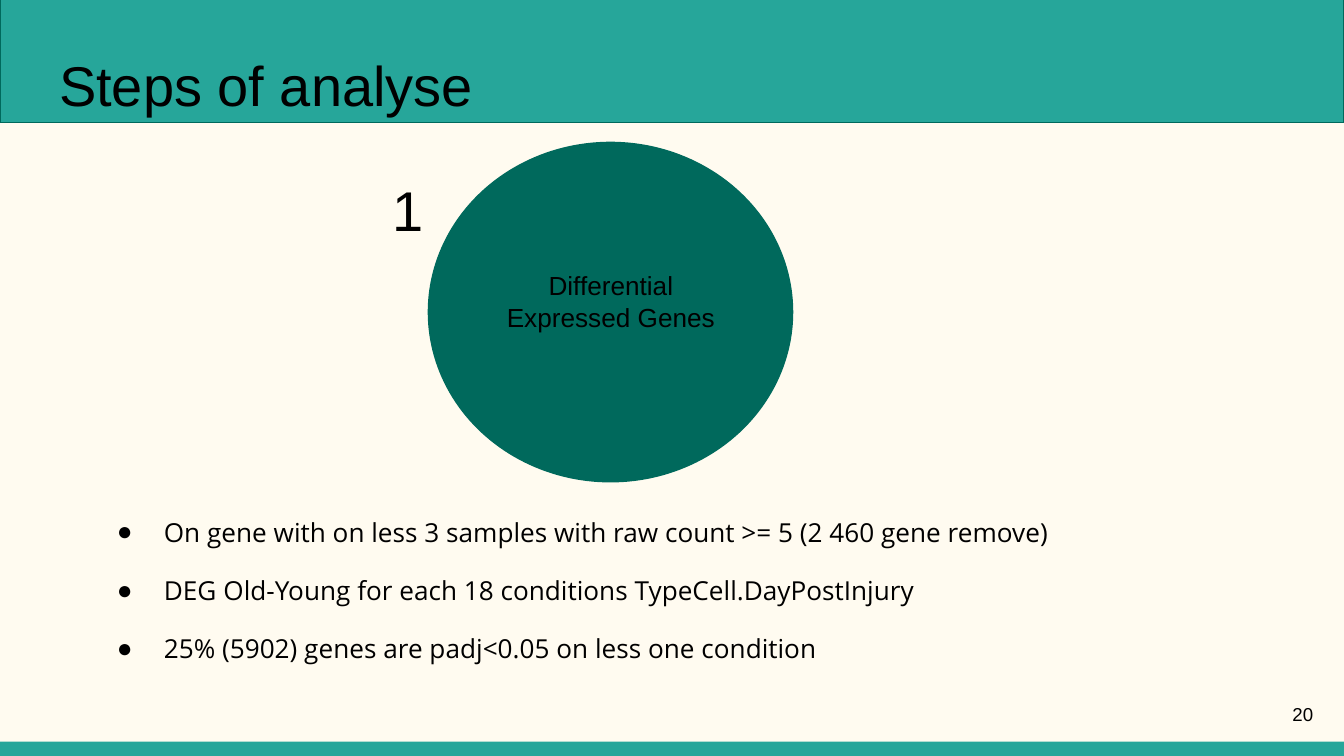
"""Build the slide on the differential expression step of the analysis."""
from lxml import etree
from pptx import Presentation
from pptx import util as u
from pptx.dml.color import RGBColor
from pptx.enum import shapes, text
from pptx.oxml import ns

TEAL = RGBColor(0x26, 0xA6, 0x9A)
DARK_TEAL = RGBColor(0x00, 0x69, 0x5C)
CREAM = RGBColor(0xFF, 0xFB, 0xF0)
BLACK = RGBColor(0, 0, 0)

WIDTH, HEIGHT = 720, 405
INSET = 7.2
TITLE = "Steps of analyse"
STEP_NUMBER = "1"
STEP_NAME = "Differential Expressed Genes"
PAGE_NUMBER = "20"
BULLETS = [
    "On gene with on less 3 samples with raw count >= 5 (2 460 gene remove)",
    "DEG Old-Young for each 18 conditions TypeCell.DayPostInjury",
    "25% (5902) genes are padj<0.05 on less one condition",
]
FOOTER_BOX = (0, 397.4, WIDTH, 7.6)
CIRCLE_BOX = (229.5, 76.3, 195.1, 181.8)
HEADER_BOX = (0, -5.1, WIDTH, 70.6)
TITLE_BOX = (24.5, 17.3, 671, 48.2)
PAGE_BOX = (667.4, 367.2, 43.2, 31)
LABEL_BOX = (261.4, 141.1, 131.8, 40.3)
NUMBER_BOX = (203, 84.2, 33.8, 48.2)
BODY_BOX = (44.6, 269.3, 565.2, 99.4)


def add_filled(slide, kind, box, fill, line=None):
    shape = slide.shapes.add_shape(kind, *map(u.Pt, box))
    shape.shadow.inherit = False
    shape.fill.solid()
    shape.fill.fore_color.rgb = fill
    if line is None:
        shape.line.fill.background()
    else:
        shape.line.color.rgb = line
        shape.line.width = u.Pt(0.75)
    return shape


def place_on_top(shape, box):
    shape.left, shape.top, shape.width, shape.height = map(u.Pt, box)
    shape.element.getparent().append(shape.element)


def add_bullet(paragraph):
    properties = paragraph._p.get_or_add_pPr()
    properties.set("marL", str(u.Pt(36)))
    properties.set("indent", str(u.Pt(-25.2)))
    color = etree.SubElement(properties, ns.qn("a:buClr"))
    etree.SubElement(color, ns.qn("a:srgbClr"), val=str(BLACK))
    etree.SubElement(properties, ns.qn("a:buChar"), char="●")


def write(shape, lines, size, font="Arial", align=text.PP_ALIGN.LEFT,
          anchor=text.MSO_ANCHOR.TOP, top_inset=INSET, bullet=False, gap=0):
    frame = shape.text_frame
    frame.word_wrap = True
    frame.auto_size = text.MSO_AUTO_SIZE.NONE
    frame.vertical_anchor = anchor
    frame.margin_left = frame.margin_right = frame.margin_bottom = u.Pt(INSET)
    frame.margin_top = u.Pt(top_inset)
    frame.text = "\n".join(lines)
    for index, paragraph in enumerate(frame.paragraphs):
        if bullet:
            add_bullet(paragraph)
        paragraph.alignment = align
        paragraph.space_before = u.Pt(gap if index else 0)
        for run in paragraph.runs:
            run.font.name = font
            run.font.size = u.Pt(size)
            run.font.color.rgb = BLACK


def main():
    presentation = Presentation()
    presentation.slide_width, presentation.slide_height = u.Pt(WIDTH), u.Pt(HEIGHT)
    slide = presentation.slides.add_slide(presentation.slide_layouts[1])
    slide.background.fill.solid()
    slide.background.fill.fore_color.rgb = CREAM
    title, body = slide.placeholders

    kind = shapes.MSO_SHAPE
    add_filled(slide, kind.RECTANGLE, FOOTER_BOX, TEAL)
    add_filled(slide, kind.OVAL, CIRCLE_BOX, DARK_TEAL, DARK_TEAL)
    add_filled(slide, kind.RECTANGLE, HEADER_BOX, TEAL, DARK_TEAL)

    place_on_top(title, TITLE_BOX)
    write(title, [TITLE], 30, top_inset=10)

    page = slide.shapes.add_textbox(*map(u.Pt, PAGE_BOX))
    write(page, [PAGE_NUMBER], 10, align=text.PP_ALIGN.RIGHT,
          anchor=text.MSO_ANCHOR.MIDDLE)

    label = add_filled(slide, kind.RECTANGLE, LABEL_BOX, DARK_TEAL, DARK_TEAL)
    write(label, [STEP_NAME], 14, align=text.PP_ALIGN.CENTER,
          anchor=text.MSO_ANCHOR.MIDDLE)

    number = slide.shapes.add_textbox(*map(u.Pt, NUMBER_BOX))
    write(number, [STEP_NUMBER], 30, top_inset=10)

    place_on_top(body, BODY_BOX)
    write(body, BULLETS, 14, font="Open Sans", bullet=True, gap=14.4)

    presentation.save("out.pptx")


if __name__ == "__main__":
    main()
